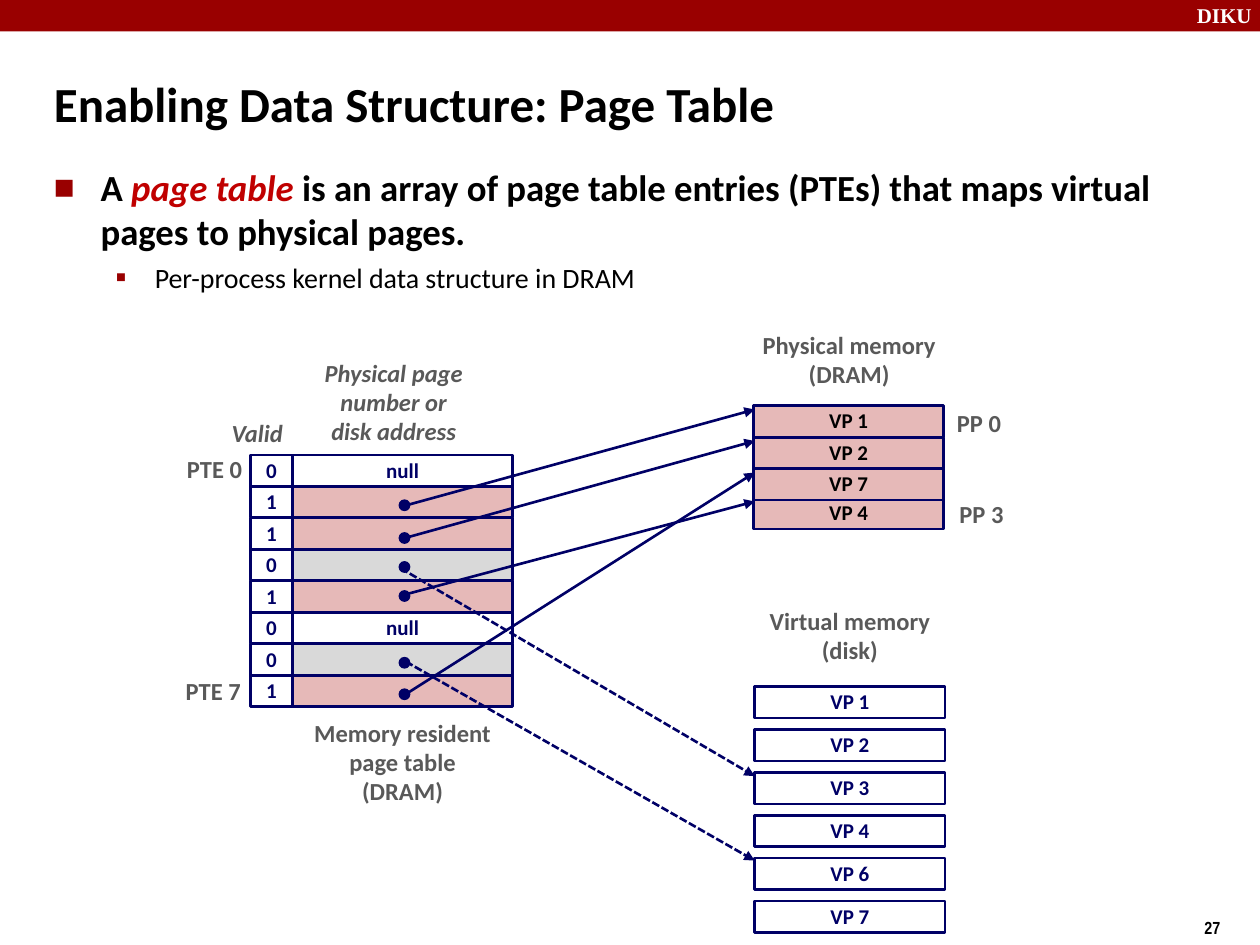
from lxml.etree import SubElement
from pptx import Presentation
from pptx.dml.color import RGBColor
from pptx.enum.dml import MSO_LINE
from pptx.enum.shapes import MSO_CONNECTOR, MSO_SHAPE
from pptx.enum.text import MSO_ANCHOR, PP_ALIGN
from pptx.oxml.ns import qn
from pptx.util import Emu, Pt

PX = 9144  # 100 px to the inch

RED = RGBColor(0x99, 0x00, 0x00)
EMPHASIS = RGBColor(0xC0, 0x00, 0x00)
NAVY = RGBColor(0x00, 0x00, 0x66)
PINK = RGBColor(0xE6, 0xB9, 0xB8)
LIGHT_GRAY = RGBColor(0xD9, 0xD9, 0xD9)
GRAY = RGBColor(0x59, 0x59, 0x59)
BLACK = RGBColor(0x00, 0x00, 0x00)
WHITE = RGBColor(0xFF, 0xFF, 0xFF)
LEFT, CENTER, RIGHT = PP_ALIGN.LEFT, PP_ALIGN.CENTER, PP_ALIGN.RIGHT

TITLE = "Enabling Data Structure: Page Table"
# runs (text, emphasised), size, bold, bullet, bullet size %, margin, indent
BODY = [
    ([("A ", False), ("page table ", True),
      ("is an array of page table entries (PTEs) that maps virtual pages to physical pages.", False)],
     21, True, "■", 60, 38, -37),
    ([("Per-process kernel data structure in DRAM", False)], 16, False, "▪", 110, 81, -31),
]

# valid bit, text, fill
PAGE_TABLE = [
    ("0", "null", WHITE), ("1", "", PINK), ("1", "", PINK), ("0", "", LIGHT_GRAY),
    ("1", "", PINK), ("0", "null", WHITE), ("0", "", LIGHT_GRAY), ("1", "", PINK),
]
PHYSICAL_PAGES = [("VP 1", 322), ("VP 2", 347), ("VP 7", 372), ("VP 4", 395)]
VIRTUAL_PAGES = ["VP 1", "VP 2", "VP 3", "VP 4", "VP 6", "VP 7"]

# dot top, arrow start x and y, arrow end y, dashed (on disk)
POINTERS = [
    (397, 319, 402, 325, False), (423, 325, 426, 350, False), (446, 318, 451, 616, True),
    (469, 321, 472, 398, False), (522, 322, 525, 683, True), (547, 322, 551, 375, False),
]

# lines, box, alignment, anchor, italic
LABELS = [
    (["Memory resident", "page table", "(DRAM)"], (230, 566, 179, 89), CENTER, MSO_ANCHOR.TOP, False),
    (["Physical memory", "(DRAM)"], (586, 258, 176, 63), CENTER, MSO_ANCHOR.TOP, False),
    (["Virtual memory", "(disk)"], (592, 477, 165, 63), CENTER, MSO_ANCHOR.TOP, False),
    (["Valid"], (174, 328, 75, 37), LEFT, MSO_ANCHOR.TOP, True),
    (["Physical page", "number or", "disk address"], (240, 275, 145, 89), CENTER, MSO_ANCHOR.MIDDLE, True),
    (["PTE 0"], (133, 354, 69, 37), RIGHT, MSO_ANCHOR.MIDDLE, False),
    (["PTE 7"], (132, 531, 69, 37), RIGHT, MSO_ANCHOR.MIDDLE, False),
    (["PP 0"], (747, 318, 60, 37), CENTER, MSO_ANCHOR.MIDDLE, False),
    (["PP 3"], (749, 390, 60, 37), CENTER, MSO_ANCHOR.MIDDLE, False),
]

ROW_HEIGHT = 25
TABLE_TOP = 361
VALID_LEFT, VALID_WIDTH = 199, 33
ENTRY_LEFT, ENTRY_WIDTH = VALID_LEFT + VALID_WIDTH, 175
PHYSICAL_LEFT, VIRTUAL_LEFT, PAGE_WIDTH = 598, 599, 151
VIRTUAL_TOP, VIRTUAL_STEP = 545, 34
DOT_LEFT, DOT_SIZE = 317, 8

presentation = Presentation()
presentation.slide_width = Emu(1000 * PX)
presentation.slide_height = Emu(750 * PX)
slide = presentation.slides.add_slide(presentation.slide_layouts[6])


def emu(*lengths):
    return [Emu(length * PX) for length in lengths]


def style(paragraph, size, color, bold=True, italic=False, font_name="Calibri"):
    font = paragraph.font
    font.name, font.size = font_name, Pt(size)
    font.bold, font.italic = bold, italic
    font.color.rgb = color


def write(frame, lines, size, color, align=LEFT, anchor=MSO_ANCHOR.TOP,
          wrap=False, spacing=0.98, **font_options):
    frame.word_wrap = wrap
    frame.vertical_anchor = anchor
    for index, line in enumerate(lines):
        paragraph = frame.add_paragraph() if index else frame.paragraphs[0]
        paragraph.text = line
        paragraph.alignment = align
        paragraph.line_spacing = spacing
        style(paragraph, size, color, **font_options)


def add_text(box, lines, size, color, **options):
    write(slide.shapes.add_textbox(*emu(*box)).text_frame, lines, size, color, **options)


def add_shape(kind, box, fill, line=NAVY, width=1.5):
    shape = slide.shapes.add_shape(kind, *emu(*box))
    shape.shadow.inherit = False
    if fill is None:
        shape.fill.background()
    else:
        shape.fill.solid()
        shape.fill.fore_color.rgb = fill
    if line is None:
        shape.line.fill.background()
    else:
        shape.line.color.rgb = line
        shape.line.width = Pt(width)
    return shape


def add_cell(left, top, width, text, fill, color=NAVY):
    cell = add_shape(MSO_SHAPE.RECTANGLE, (left, top, width, ROW_HEIGHT), fill)
    if text:
        write(cell.text_frame, [text], 12, color, align=CENTER, anchor=MSO_ANCHOR.MIDDLE)


def add_arrow(start_x, start_y, end_x, end_y, dashed):
    arrow = slide.shapes.add_connector(MSO_CONNECTOR.STRAIGHT, *emu(start_x, start_y, end_x, end_y))
    arrow.line.color.rgb = NAVY
    arrow.line.width = Pt(1.5)
    if dashed:
        arrow.line.dash_style = MSO_LINE.SQUARE_DOT
    SubElement(arrow.line._get_or_add_ln(), qn("a:tailEnd"), type="triangle")
    SubElement(arrow._element.spPr, qn("a:effectLst"))


def add_bullet(paragraph, character, percent, margin, indent):
    properties = paragraph._p.get_or_add_pPr()
    properties.set("marL", str(margin * PX))
    properties.set("indent", str(indent * PX))
    color = SubElement(properties, qn("a:buClr"))
    SubElement(color, qn("a:srgbClr"), val=str(RED))
    SubElement(properties, qn("a:buSzPct"), val=str(percent * 1000))
    SubElement(properties, qn("a:buFont"), typeface="Calibri")
    SubElement(properties, qn("a:buChar"), char=character)


# Header band, slide number and title
add_shape(MSO_SHAPE.RECTANGLE, (0, 0, 1000, 25), RED, line=None)
add_text((940, -3, 67, 30), ["DIKU"], 12, WHITE, wrap=True, spacing=1.0, font_name="Times New Roman")
add_text((946, 723, 75, 27), ["27"], 10, BLACK, spacing=1.0, font_name="Arial Narrow")
add_text((33, 39, 906, 86), [TITLE], 28, BLACK, anchor=MSO_ANCHOR.MIDDLE, wrap=True, spacing=1.0)

# Bulleted text
body = slide.shapes.add_textbox(*emu(32, 126, 908, 141)).text_frame
body.word_wrap = True
for level, (runs, size, bold, *bullet) in enumerate(BODY):
    paragraph = body.add_paragraph() if level else body.paragraphs[0]
    paragraph.level = level
    add_bullet(paragraph, *bullet)
    if level:
        paragraph.space_before = Pt(4)
    style(paragraph, size, BLACK, bold)
    for text, emphasised in runs:
        run = paragraph.add_run()
        run.text = text
        if emphasised:
            run.font.italic = True
            run.font.color.rgb = EMPHASIS

# Page table
for row, (valid, text, fill) in enumerate(PAGE_TABLE):
    top = TABLE_TOP + row * ROW_HEIGHT
    add_cell(ENTRY_LEFT, top, ENTRY_WIDTH, text, fill)
    add_cell(VALID_LEFT, top, VALID_WIDTH, valid, None)

# Physical and virtual memory; upper physical pages overlap lower ones
for text, top in reversed(PHYSICAL_PAGES):
    add_cell(PHYSICAL_LEFT, top, PAGE_WIDTH, text, PINK, BLACK)
for row, text in enumerate(VIRTUAL_PAGES):
    add_cell(VIRTUAL_LEFT, VIRTUAL_TOP + row * VIRTUAL_STEP, PAGE_WIDTH, text, WHITE)

# Pointers from table entries to pages
for dot_top, start_x, start_y, end_y, dashed in POINTERS:
    add_shape(MSO_SHAPE.OVAL, (DOT_LEFT, dot_top, DOT_SIZE, DOT_SIZE), NAVY, width=1)
    add_arrow(start_x, start_y, VIRTUAL_LEFT, end_y, dashed)

# Labels
for lines, box, align, anchor, italic in LABELS:
    add_text(box, lines, 14, GRAY, align=align, anchor=anchor, italic=italic)

presentation.save("out.pptx")
